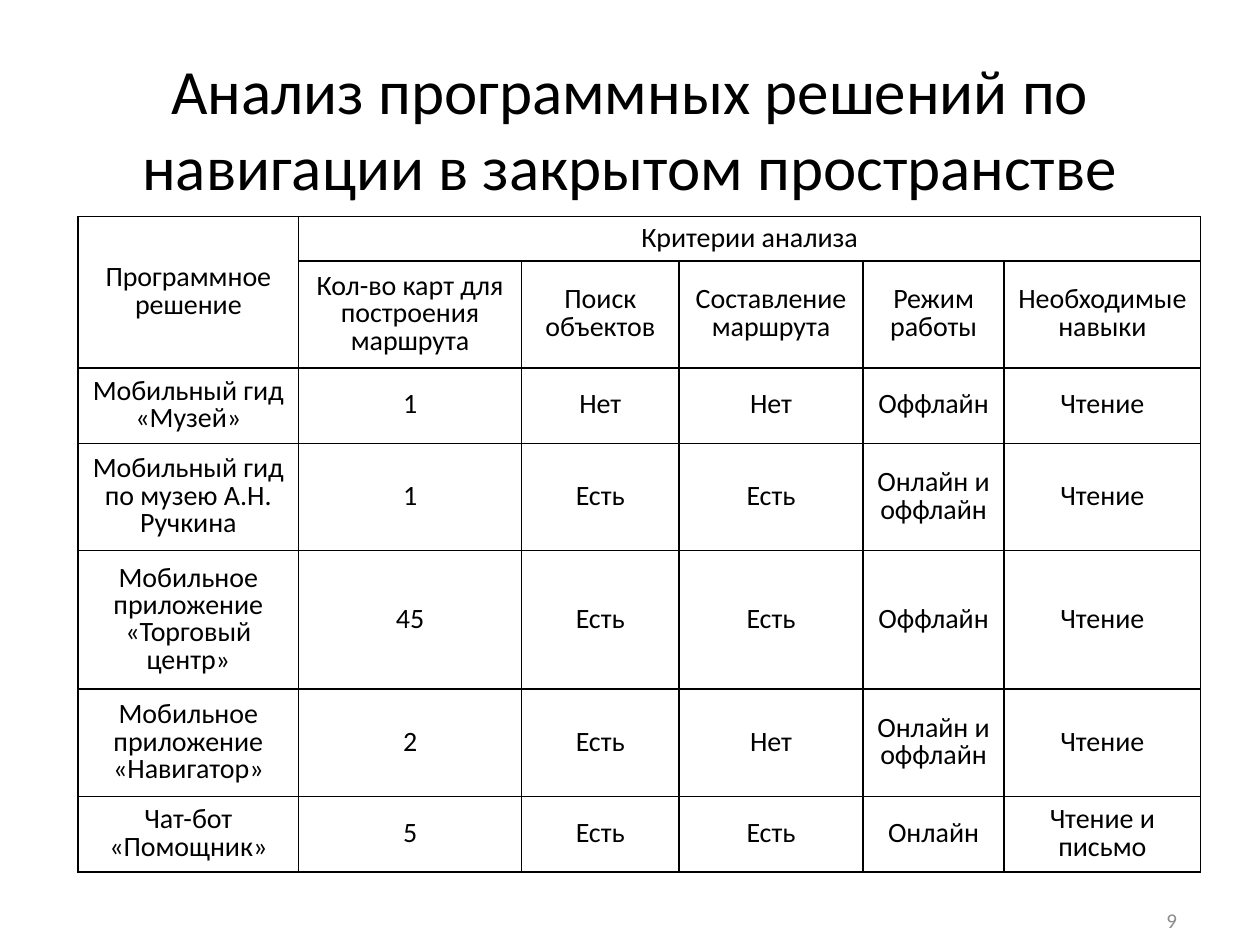
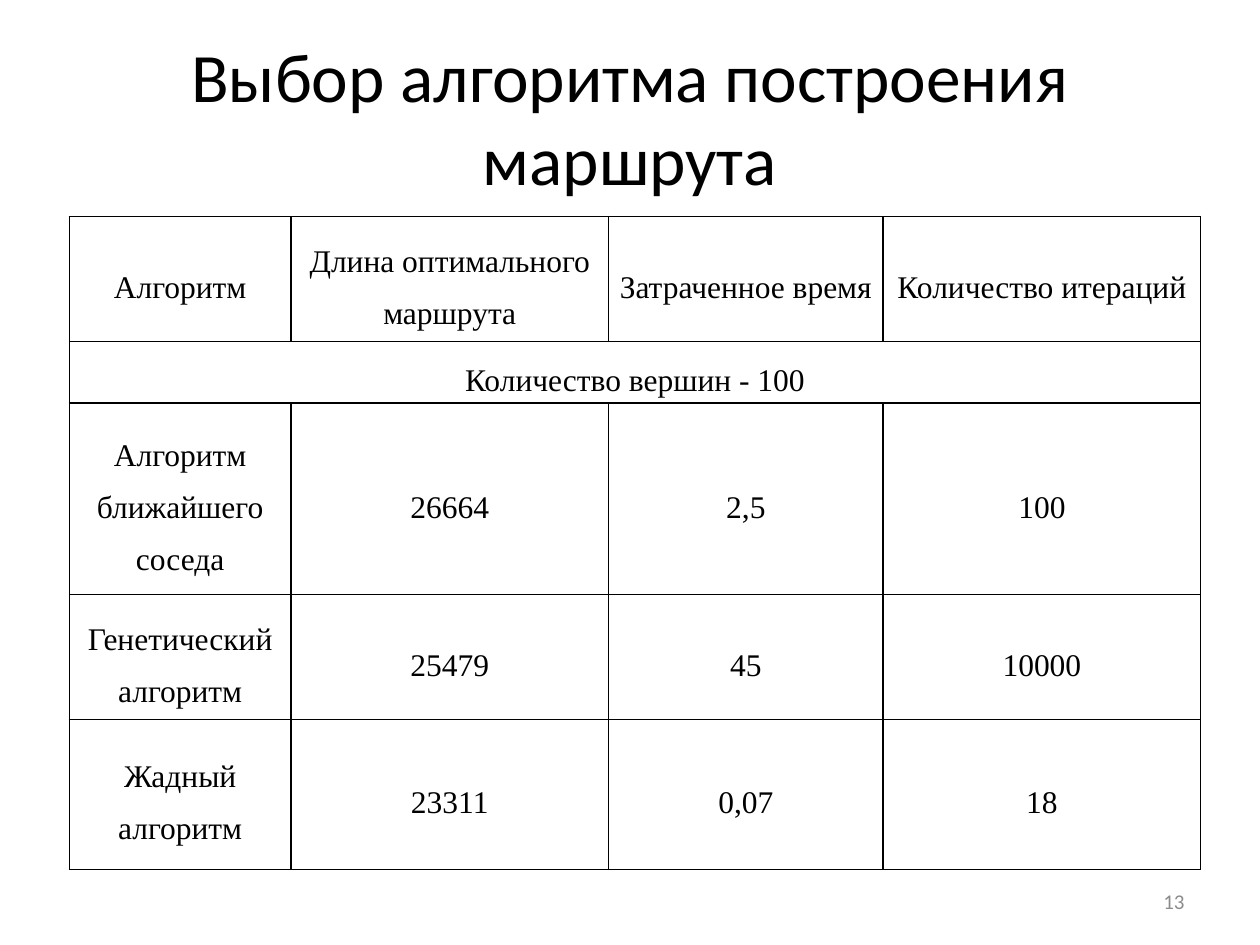
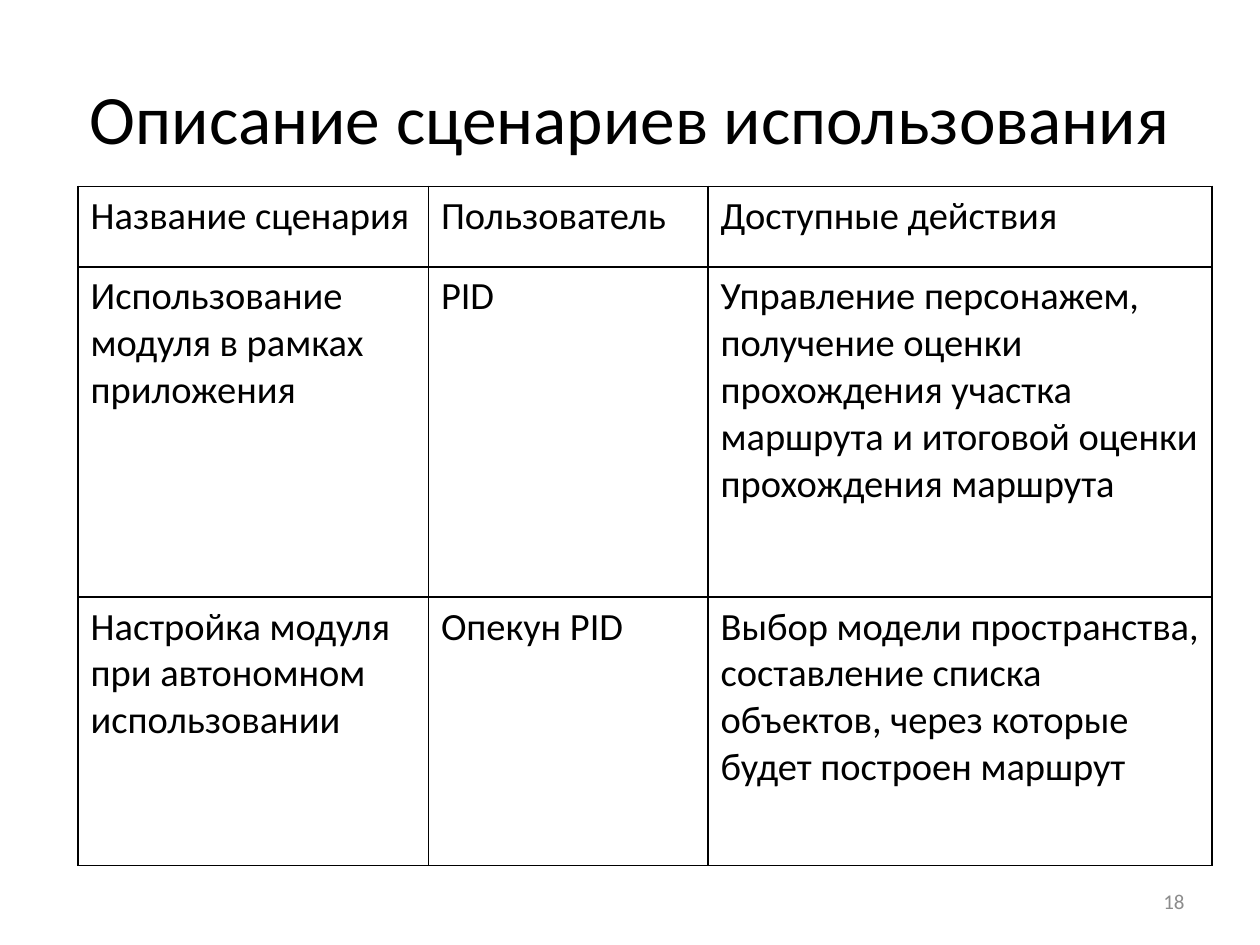
from dataclasses import dataclass

from lxml.etree import SubElement
from pptx import Presentation
from pptx.dml.color import RGBColor
from pptx.enum.text import MSO_ANCHOR as ANCHOR, PP_ALIGN as ALIGN
from pptx.oxml.ns import qn
from pptx.util import Inches, Pt


@dataclass(frozen=True)
class Theme:
    ink: str = "000000"
    paper: str = "FFFFFF"
    muted: str = "8C8C8C"
    sans: str = "Calibri"
    serif: str = "Times New Roman"
    title: float = 39.6
    title_small: float = 36
    number: float = 12
    rule: float = 1


T = Theme()


def add_text(tf, text, size, font, color, align, anchor, spacing=None):
    tf.word_wrap = True
    tf.vertical_anchor = anchor
    p = tf.paragraphs[0]
    p.alignment = align
    if spacing:
        p.line_spacing = spacing
    r = p.add_run()
    r.text = text
    r.font.size = Pt(size)
    r.font.name = font
    r.font.color.rgb = RGBColor.from_string(color)


def add_borders(cell):
    tc_pr = cell._tc.get_or_add_tcPr()
    for side in ("a:lnL", "a:lnR", "a:lnT", "a:lnB"):
        ln = SubElement(tc_pr, qn(side), w=str(Pt(T.rule)))
        fill = SubElement(ln, qn("a:solidFill"))
        SubElement(fill, qn("a:srgbClr"), val=T.ink)


centred = dict(align=ALIGN.CENTER, anchor=ANCHOR.MIDDLE)

slides = [
    dict(
        title="Анализ программных решений по навигации в закрытом пространстве",
        title_size=T.title_small, title_height=1.42,
        number="9", number_at=(7.11, 7.1),
        table_at=(0.62, 1.72),
        cols=[1.75, 1.77, 1.25, 1.46, 1.12, 1.56],
        rows=[0.35, 0.85, 0.6, 0.85, 1.1, 0.85, 0.6],
        merges=[(0, 0, 1, 0), (0, 1, 0, 5)],
        margins=(0.1, 0.05),
        style=dict(size=16, font=T.sans, spacing=0.8, **centred),
        cells=[
            ["Программное решение", "Критерии анализа", "", "", "", ""],
            ["", "Кол-во карт для построения маршрута", "Поиск объектов",
             "Составление маршрута", "Режим работы", "Необходимые навыки"],
            ["Мобильный гид «Музей»", "1", "Нет", "Нет", "Оффлайн", "Чтение"],
            ["Мобильный гид по музею А.Н. Ручкина", "1", "Есть", "Есть",
             "Онлайн и оффлайн", "Чтение"],
            ["Мобильное приложение «Торговый центр»", "45", "Есть", "Есть",
             "Оффлайн", "Чтение"],
            ["Мобильное приложение «Навигатор»", "2", "Есть", "Нет",
             "Онлайн и оффлайн", "Чтение"],
            ["Чат-бот «Помощник»", "5", "Есть", "Есть", "Онлайн",
             "Чтение и письмо"],
        ],
    ),
    dict(
        title="Выбор алгоритма построения маршрута",
        title_size=T.title, title_height=1.25,
        number="13", number_at=(7.17, 6.95),
        table_at=(0.55, 1.72),
        cols=[1.76, 2.52, 2.18, 2.52],
        rows=[0.99, 0.49, 1.52, 0.99, 1.19],
        merges=[(1, 0, 1, 3)],
        margins=(0.04, 0),
        style=dict(size=18, font=T.serif, spacing=1.5, **centred),
        cells=[
            ["Алгоритм", "Длина оптимального маршрута", "Затраченное время",
             "Количество итераций"],
            ["Количество вершин - 100", "", "", ""],
            ["Алгоритм ближайшего соседа", "26664", "2,5", "100"],
            ["Генетический алгоритм", "25479", "45", "10000"],
            ["Жадный алгоритм", "23311", "0,07", "18"],
        ],
    ),
    dict(
        title="Описание сценариев использования",
        title_size=T.title, title_height=1.25,
        number="18", number_at=(7.17, 6.95),
        table_at=(0.62, 1.48),
        cols=[2.78, 2.22, 4],
        rows=[0.64, 2.62, 2.13],
        merges=[],
        margins=(0.1, 0.05),
        style=dict(size=22, font=T.sans, align=ALIGN.LEFT, anchor=ANCHOR.TOP),
        cells=[
            ["Название сценария", "Пользователь", "Доступные действия"],
            ["Использование модуля в рамках приложения", "PID",
             "Управление персонажем, получение оценки прохождения участка "
             "маршрута и итоговой оценки прохождения маршрута"],
            ["Настройка модуля при автономном использовании", "Опекун PID",
             "Выбор модели пространства, составление списка объектов, "
             "через которые будет построен маршрут"],
        ],
    ),
]

prs = Presentation()
prs.slide_width = Inches(10)
prs.slide_height = Inches(7.5)

for d in slides:
    s = prs.slides.add_slide(prs.slide_layouts[6])
    s.background.fill.solid()
    s.background.fill.fore_color.rgb = RGBColor.from_string(T.paper)

    sp = s.shapes.add_textbox(Inches(0.5), Inches(0.3), Inches(9), Inches(d["title_height"]))
    add_text(sp.text_frame, d["title"], d["title_size"], T.sans, T.ink, **centred)

    x, y = d["table_at"]
    table = s.shapes.add_table(
        len(d["rows"]), len(d["cols"]), Inches(x), Inches(y),
        Inches(sum(d["cols"])), Inches(sum(d["rows"]))).table
    table.first_row = table.horz_banding = False
    for col, width in zip(table.columns, d["cols"]):
        col.width = Inches(width)
    for row, height in zip(table.rows, d["rows"]):
        row.height = Inches(height)
    for top, left, bottom, right in d["merges"]:
        table.cell(top, left).merge(table.cell(bottom, right))

    side, edge = d["margins"]
    for row, texts in zip(table.rows, d["cells"]):
        for cell, text in zip(row.cells, texts):
            add_borders(cell)
            cell.fill.background()
            cell.margin_left = cell.margin_right = Inches(side)
            cell.margin_top = cell.margin_bottom = Inches(edge)
            if text:
                cell.vertical_anchor = d["style"]["anchor"]
                add_text(cell.text_frame, text, color=T.ink, **d["style"])

    x, y = d["number_at"]
    sp = s.shapes.add_textbox(Inches(x), Inches(y), Inches(2.33), Inches(0.4))
    add_text(sp.text_frame, d["number"], T.number, T.sans, T.muted,
             ALIGN.RIGHT, ANCHOR.MIDDLE)

prs.save("out.pptx")
